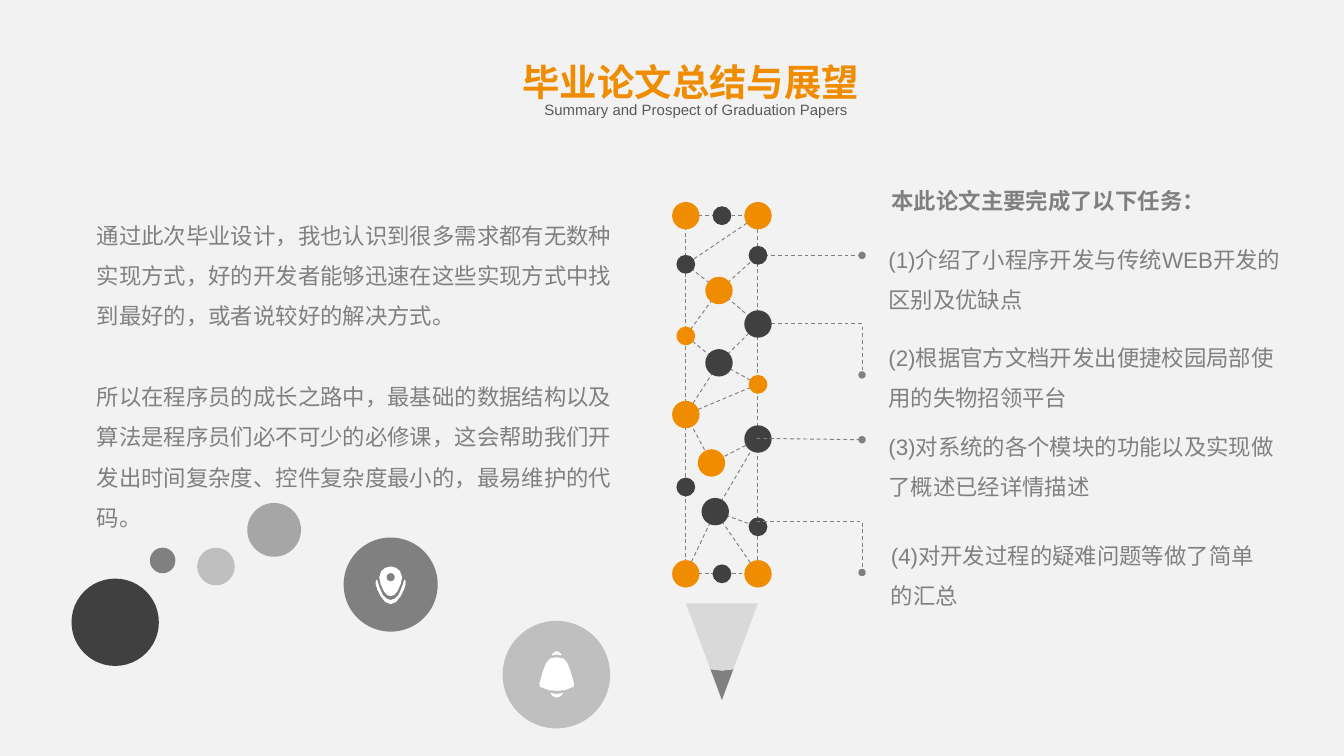
import pptx
import pptx.util
import pptx.dml.color
import pptx.enum.dml
import pptx.enum.shapes
import pptx.enum.text
import pptx.oxml.ns
import lxml.etree

HUE = {
    "back": "F2F2F2", "gold": "F08C00", "dark": "404040", "ink": "595959",
    "grey": "808080", "mid": "A6A6A6", "soft": "BFBFBF", "pale": "D9D9D9",
    "white": "FFFFFF",
}
WIDE = pptx.util.Inches(10)
HIGH = WIDE * 9 // 16
UNIT = WIDE / 100
BIG, SMALL = 2.04, 1.4
LEFT, RIGHT = 1.03, 6.4

NODES = {
    "A": (LEFT, 1.05, BIG, "gold"), "B": (RIGHT, 1.05, BIG, "gold"),
    "C": (3.5, 6.62, BIG, "gold"), "D": (3.5, 12, BIG, "dark"),
    "E": (LEFT, 15.85, BIG, "gold"), "F": (2.94, 19.45, BIG, "gold"),
    "G": (RIGHT, 9.11, BIG, "dark"), "H": (RIGHT, 17.67, BIG, "dark"),
    "I": (3.22, 23.07, BIG, "dark"), "J": (LEFT, 27.7, BIG, "gold"),
    "K": (RIGHT, 27.7, BIG, "gold"), "a": (3.72, 1.05, SMALL, "dark"),
    "b": (3.72, 27.7, SMALL, "dark"), "c": (LEFT, 4.67, SMALL, "dark"),
    "d": (LEFT, 10, SMALL, "gold"), "e": (LEFT, 21.24, SMALL, "dark"),
    "f": (RIGHT, 4, SMALL, "dark"), "g": (RIGHT, 13.6, SMALL, "gold"),
    "h": (RIGHT, 24.2, SMALL, "dark"),
}
TRACES = ["BcCGDEFHIK", "JIh", "EgDdCf"]


def grid(*vals):
    """Turn grid units into lengths."""
    return [pptx.util.Emu(round(v * UNIT)) for v in vals]


def tone(name):
    """Look up a colour."""
    return pptx.dml.color.RGBColor.from_string(HUE[name])


def paint(shape, name):
    """Give a shape a plain fill without line or shadow."""
    shape.shadow.inherit = False
    shape.fill.solid()
    shape.fill.fore_color.rgb = tone(name)
    shape.line.fill.background()


def dash(shape, dot=False):
    """Give a shape a thin dashed line, with a round end if asked."""
    shape.line.color.rgb = tone("grey")
    shape.line.width = pptx.util.Pt(0.5)
    shape.line.dash_style = pptx.enum.dml.MSO_LINE.DASH
    if dot:
        qn = pptx.oxml.ns.qn
        edge = shape._element.spPr.find(qn("a:ln"))
        lxml.etree.SubElement(edge, qn("a:tailEnd"), type="oval", w="sm", len="sm")


def trace(shapes, x, y, pts, close=False):
    """Build an outline from points relative to x and y."""
    pts = [grid(x + dx, y + dy) for dx, dy in pts]
    pen = shapes.build_freeform(*pts[0])
    pen.add_line_segments(pts[1:], close=close)
    shape = pen.convert_to_shape()
    shape.shadow.inherit = False
    if not close:
        shape.fill.background()
    return shape


def twin(shapes, x, y, half, name):
    """Fill an outline made of a half and its mirror about x."""
    pts = half + [(-dx, dy) for dx, dy in reversed(half)]
    paint(trace(shapes, x, y, pts, True), name)


def disc(shapes, x, y, size, name):
    """Draw a filled circle about its centre."""
    oval = pptx.enum.shapes.MSO_SHAPE.OVAL
    paint(shapes.add_shape(oval, *grid(x - size / 2, y - size / 2, size, size)), name)


def write(shape, *text, size=12, color="grey", bold=False, mid=False,
          pad=False, lead=None, gap=0, wrap=True):
    """Fill a shape with formatted paragraphs."""
    frame = shape.text_frame
    frame.word_wrap = wrap
    frame.auto_size = pptx.enum.text.MSO_AUTO_SIZE.SHAPE_TO_FIT_TEXT
    frame.vertical_anchor = pptx.enum.text.MSO_ANCHOR.TOP
    side, edge = grid(1, 0.5) if pad else (0, 0)
    frame.margin_left = frame.margin_right = side
    frame.margin_top = frame.margin_bottom = edge
    align = pptx.enum.text.PP_ALIGN
    for num, words in enumerate(text):
        para = frame.add_paragraph() if num else frame.paragraphs[0]
        para.alignment = align.CENTER if mid else align.LEFT
        para.line_spacing = lead
        para.space_before = pptx.util.Pt(gap if num else 0)
        run = para.add_run()
        run.text = words
        run.font.name = "Arial"
        run.font.size = pptx.util.Pt(size)
        run.font.bold = bold
        run.font.color.rgb = tone(color)


def head(slide, box):
    """Place the title and the line below it."""
    x, y, w, h = box
    title = slide.shapes.title
    title.left, title.top, title.width, title.height = grid(x, y, w, h)
    write(title, "毕业论文总结与展望", size=20, color="gold", bold=True,
          mid=True, pad=True, wrap=False)
    sub = slide.shapes.add_textbox(*grid(x + 1.55, y + 3.6, 24.9, 1.3))
    write(sub, "Summary and Prospect of Graduation Papers", size=8,
          color="ink", mid=True)


def story(slide, box):
    """Place the two paragraphs on the left."""
    write(slide.shapes.add_textbox(*grid(*box)),
          "通过此次毕业设计，我也认识到很多需求都有无数种实现方式，好的开发者能够迅速在这些实现方式中找到最好的，或者说较好的解决方式。",
          "所以在程序员的成长之路中，最基础的数据结构以及算法是程序员们必不可少的必修课，这会帮助我们开发出时间复杂度、控件复杂度最小的，最易维护的代码。",
          lead=1.5, gap=21.6)


def leads(slide, box, rows):
    """Draw leaders from the pencil: straight, or with a drop."""
    x, y, w, _ = box
    for row, drop in rows:
        if drop > 1:
            bend = [(0, row), (w, row), (w, row + drop)]
            dash(trace(slide.shapes, x, y, bend), True)
        else:
            kind = pptx.enum.shapes.MSO_CONNECTOR.STRAIGHT
            line = slide.shapes.add_connector(
                kind, *grid(x, y + row, x + w, y + row + drop))
            dash(line, True)
            lxml.etree.SubElement(line._element.spPr, pptx.oxml.ns.qn("a:effectLst"))


def pencil(slide, box):
    """Draw the pencil of linked nodes and its tip."""
    x, y, _, _ = box
    shapes = slide.shapes.add_group_shape().shapes
    rect = pptx.enum.shapes.MSO_SHAPE.RECTANGLE
    top, foot = NODES["A"][1], NODES["J"][1]
    rail = shapes.add_shape(rect, *grid(x + LEFT, y + top, RIGHT - LEFT, foot - top))
    rail.shadow.inherit = False
    rail.fill.background()
    dash(rail)
    for keys in TRACES:
        dash(trace(shapes, x, y, [NODES[key][:2] for key in keys]))
    for col, row, size, name in NODES.values():
        disc(shapes, x + col, y + row, size, name)
    axis = x + (LEFT + RIGHT) / 2
    twin(shapes, axis, y, [(0, 34.9), (0.85, 34.8), (0, 37.1)], "grey")
    twin(shapes, axis, y, [(2.68, 29.9), (0.85, 34.8), (0, 34.9)], "pale")


def bubbles(slide, box):
    """Draw the circles at the foot with a pin and a bell."""
    x, y, _, _ = box
    for col, row, size, name in [
            (36.1, 12.8, 8, "soft"), (23.77, 6.1, 7, "grey"), (15.1, 2.03, 4, "mid"),
            (10.77, 4.75, 2.8, "soft"), (6.8, 4.3, 1.9, "grey"), (3.27, 8.9, 6.5, "dark")]:
        disc(slide.shapes, x + col, y + row, size, name)
    pin = slide.shapes.add_group_shape().shapes
    col, row = x + 23.77, y + 6.1
    twin(pin, col, row, [(0, 1.45), (0.4, 1.3), (0.75, 0.85), (1, 0.35), (1.12, -0.05),
                         (1.1, -0.35), (1, -0.35), (0.85, 0.15), (0.6, 0.75),
                         (0.3, 1.05), (0, 1.15)], "white")
    twin(pin, col, row, [(0, -1.35), (0.4, -1.25), (0.7, -1), (0.85, -0.55), (0.75, -0.05),
                         (0.5, 0.5), (0.25, 0.78), (0, 0.85)], "white")
    disc(pin, col, row - 0.55, 0.6, "grey")
    bell = slide.shapes.add_group_shape().shapes
    for half in [
            [(0, -1.75), (0.2, -1.65), (0.35, -1.5), (0.33, -1.42), (0, -1.5)],
            [(0, 1.45), (0.48, 1.35), (0.3, 1.6), (0, 1.7)],
            [(0, -1.3), (0.5, -1.2), (0.8, -0.85), (1.05, -0.2), (1.3, 0.7),
             (1.25, 0.9), (0.6, 1.15), (0, 1.2)]]:
        twin(bell, x + 36.13, y + 12.8, half, "white")


def tasks(slide, box):
    """Place the heading and the four tasks on the right."""
    x, y, w, _ = box
    for col, row, wide, high, words, form in [
            (0.05, 0, 24.5, 5, "本此论文主要完成了以下任务：", {"bold": True, "pad": True}),
            (0.8, 3.9, w, 6.1, "(1)介绍了小程序开发与传统WEB开发的区别及优缺点", {"lead": 1.5}),
            (0.8, 11.2, w, 6.1, "(2)根据官方文档开发出便捷校园局部使用的失物招领平台", {"lead": 1.5}),
            (0.8, 17.8, w, 6.1, "(3)对系统的各个模块的功能以及实现做了概述已经详情描述", {"lead": 1.5}),
            (0, 25.4, w, 7.1, "(4)对开发过程的疑难问题等做了简单的汇总", {"lead": 1.5, "pad": True})]:
        note = slide.shapes.add_textbox(*grid(x + col, y + row, wide, high))
        write(note, words, **form)


def main():
    """Build and save the slide."""
    deck = pptx.Presentation()
    deck.slide_width, deck.slide_height = WIDE, HIGH
    slide = deck.slides.add_slide(deck.slide_layouts[5])
    slide.background.fill.solid()
    slide.background.fill.fore_color.rgb = tone("back")
    leads(slide, (56.4, 15, 7.74, 27.6), [(4, 0), (9.1, 3.8)])
    pencil(slide, (50, 15, 7.4, 37.1))
    story(slide, (7.2, 15.52, 39.4, 26.7))
    head(slide, (37.8, 3.9, 27.2, 4.4))
    bubbles(slide, (5.3, 37.4, 40.1, 16.8))
    leads(slide, (56.3, 15, 7.84, 27.6), [(17.62, 0.1), (23.8, 3.8)])
    tasks(slide, (65.3, 13.42, 29.8, 32.5))
    deck.save("out.pptx")


if __name__ == "__main__":
    main()
